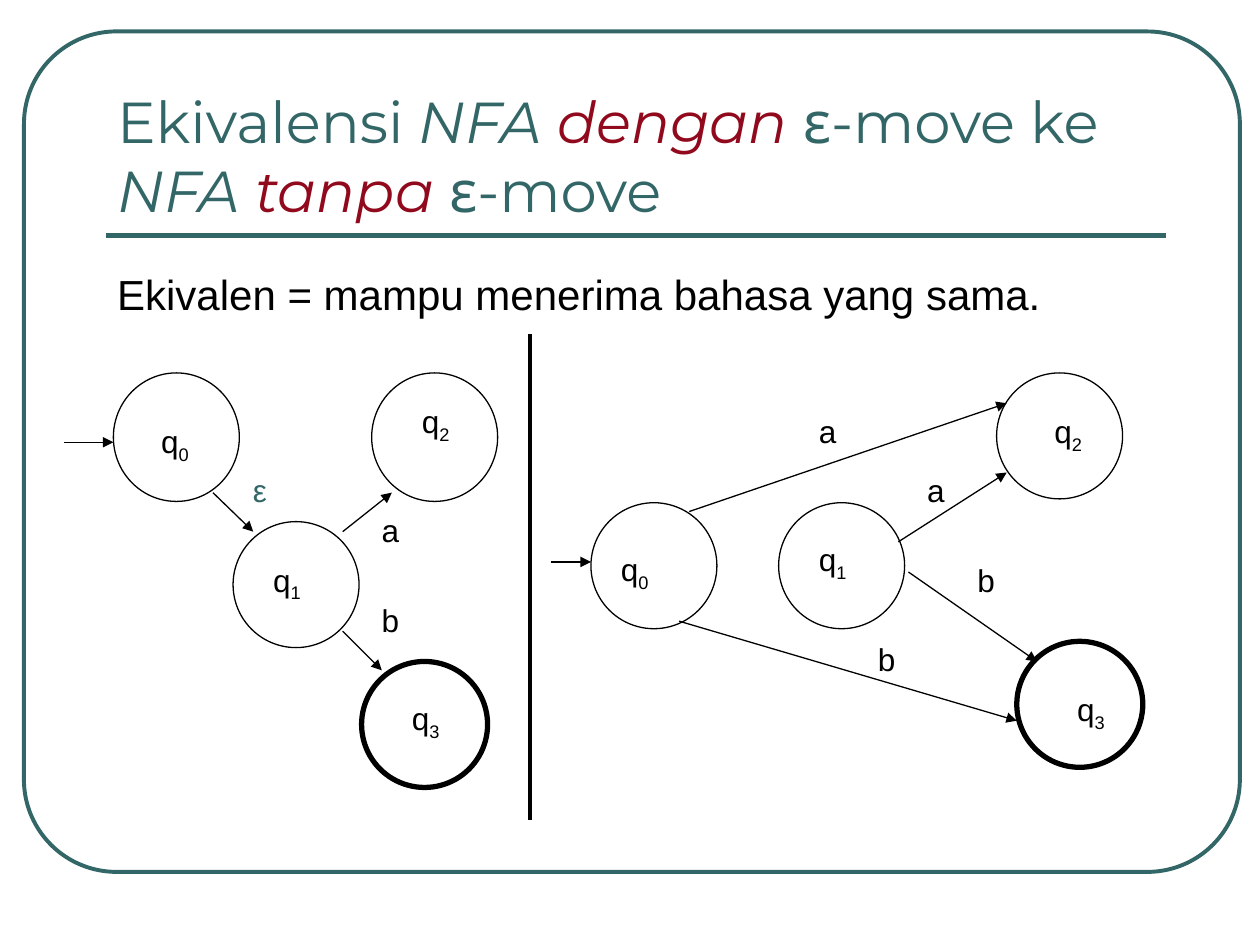
from pptx import Presentation
from pptx.dml.color import RGBColor
from pptx.enum.shapes import MSO_CONNECTOR, MSO_SHAPE
from pptx.enum.text import MSO_ANCHOR, MSO_AUTO_SIZE, PP_ALIGN
from pptx.oxml.ns import qn
from pptx.util import Inches, Pt
from lxml import etree

STRAIGHT = MSO_CONNECTOR.STRAIGHT
ELLIPSE, ROUNDED = MSO_SHAPE.OVAL, MSO_SHAPE.ROUNDED_RECTANGLE
LEFT = PP_ALIGN.LEFT
TOP, BOTTOM = MSO_ANCHOR.TOP, MSO_ANCHOR.BOTTOM
NO_FIT, GROW = MSO_AUTO_SIZE.NONE, MSO_AUTO_SIZE.SHAPE_TO_FIT_TEXT

TEAL = RGBColor(0x33, 0x66, 0x66)
RED = RGBColor(0x91, 0x09, 0x1C)
BLACK = RGBColor(0, 0, 0)
TITLE_FONT, TEXT_FONT = "Montserrat", "Arial"
THIN, MEDIUM, THICK = 0.75, 2.25, 3

# Content: title runs are text, colour, italic
TITLE = [
    ("Ekivalensi ", TEAL, False), ("NFA ", TEAL, True),
    ("dengan ", RED, True), ("ε-move ke ", TEAL, False),
    ("NFA ", TEAL, True), ("tanpa ", RED, True), ("ε-move", TEAL, False),
]
BODY = "Ekivalen = mampu menerima bahasa yang sama."

# Each automaton, in inches:
#   states: index, circle (left, top), height, label (left, top)
#   moves: start, end;  symbols: text, (left, top), colour
WITH_EPSILON = {
    "states": [
        (0, (0.9, 2.96), 1.02, (1.18, 3.3)),
        (1, (1.85, 4.14), 1, (2.07, 4.4)),
        (2, (2.95, 2.96), 1.02, (3.25, 3.14)),
        (3, (2.87, 5.25), 1, (3.17, 5.5)),
    ],
    "moves": [
        ((0.51, 3.51), (0.9, 3.51)),
        ((1.69, 3.91), (2.01, 4.22)),
        ((2.72, 5.01), (3.03, 5.32)),
        ((2.72, 4.22), (3.11, 3.91)),
    ],
    "symbols": [("ε", (1.91, 3.69), TEAL), ("a", (2.93, 4.01), BLACK),
                ("b", (2.93, 4.72), BLACK)],
}
WITHOUT_EPSILON = {
    "states": [
        (0, (4.69, 3.99), 1, (4.83, 4.32)),
        (1, (6.18, 3.99), 1, (6.4, 4.24)),
        (2, (7.91, 2.96), 1, (8.27, 3.22)),
        (3, (8.07, 5.09), 1, (8.45, 5.43)),
    ],
    "moves": [
        ((4.37, 4.46), (4.69, 4.46)),
        ((5.47, 4.06), (7.99, 3.2)),
        ((5.39, 4.93), (8.07, 5.72)),
        ((7.13, 4.3), (7.99, 3.75)),
        ((7.21, 4.54), (8.23, 5.25)),
    ],
    "symbols": [("a", (6.4, 3.22), BLACK), ("a", (7.26, 3.69), BLACK),
                ("b", (7.66, 4.4), BLACK), ("b", (6.87, 5.03), BLACK)],
}
FINAL_STATE = 3


def place(shape, left, top, width, height):
    shape.left, shape.top = Inches(left), Inches(top)
    shape.width, shape.height = Inches(width), Inches(height)


def add_span(para, text, size, colour, font=TEXT_FONT):
    span = para.add_run()
    span.text = text
    span.font.name, span.font.size = font, Pt(size)
    span.font.color.rgb = colour
    return span


def add_outline(page, kind, box, colour, weight):
    shape = page.shapes.add_shape(kind, *map(Inches, box))
    shape.shadow.inherit = False
    shape.fill.background()
    shape.line.color.rgb = colour
    shape.line.width = Pt(weight)
    return shape


def add_line(page, start, end, colour, weight, arrow=False):
    line = page.shapes.add_connector(STRAIGHT, *map(Inches, start + end))
    line.line.color.rgb = colour
    line.line.width = Pt(weight)
    if arrow:
        etree.SubElement(line.line._get_or_add_ln(), qn("a:tailEnd"), type="triangle")
    etree.SubElement(line._element.spPr, qn("a:effectLst"))


def add_label(page, position, text, colour=BLACK, subscript=None):
    width, height = (0.34, 0.4) if subscript is None else (0.42, 0.44)
    box = page.shapes.add_textbox(*map(Inches, position + (width, height)))
    box.text_frame.word_wrap = False
    box.text_frame.auto_size = GROW
    para = box.text_frame.paragraphs[0]
    add_span(para, text, 18, colour)
    if subscript is not None:
        span = add_span(para, str(subscript), 18, colour)
        span._r.get_or_add_rPr().set("baseline", "-25000")


def add_automaton(page, automaton):
    for index, corner, height, label in automaton["states"]:
        weight = THICK if index == FINAL_STATE else THIN
        add_outline(page, ELLIPSE, corner + (1, height), BLACK, weight)
        add_label(page, label, "q", subscript=index)
    for start, end in automaton["moves"]:
        add_line(page, start, end, BLACK, THIN, arrow=True)
    for text, position, colour in automaton["symbols"]:
        add_label(page, position, text, colour)


def fill_title(title):
    place(title, 0.83, 0.58, 8.42, 1.25)
    frame = title.text_frame
    frame.auto_size, frame.vertical_anchor = NO_FIT, BOTTOM
    para = frame.paragraphs[0]
    para.alignment = LEFT
    for text, colour, italic in TITLE:
        add_span(para, text, 33, colour, TITLE_FONT).font.italic = italic


def fill_body(body):
    place(body, 0.83, 2.08, 8.42, 0.56)
    frame = body.text_frame
    frame.auto_size, frame.vertical_anchor = NO_FIT, TOP
    para = frame.paragraphs[0]
    para.space_before = Pt(6)
    properties = para._p.get_or_add_pPr()
    properties.set("marL", str(Inches(0.38)))
    properties.set("indent", str(Inches(-0.38)))
    etree.SubElement(properties, qn("a:buNone"))
    add_span(para, BODY, 24, BLACK)


def main():
    deck = Presentation()
    deck.slide_width, deck.slide_height = Inches(10), Inches(7.5)
    page = deck.slides.add_slide(deck.slide_layouts[1])

    # Frame and title rule
    frame = add_outline(page, ROUNDED, (0.19, 0.25, 9.65, 6.67), TEAL, MEDIUM)
    frame.adjustments[0] = 0.11
    add_line(page, (0.84, 1.87), (9.25, 1.87), TEAL, THICK)

    # Title and definition
    fill_title(page.shapes.title)
    fill_body(page.placeholders[1])

    # The two automata and the divider between them
    add_automaton(page, WITH_EPSILON)
    add_line(page, (4.21, 2.65), (4.21, 6.51), BLACK, MEDIUM)
    add_automaton(page, WITHOUT_EPSILON)

    deck.save("out.pptx")


if __name__ == "__main__":
    main()
